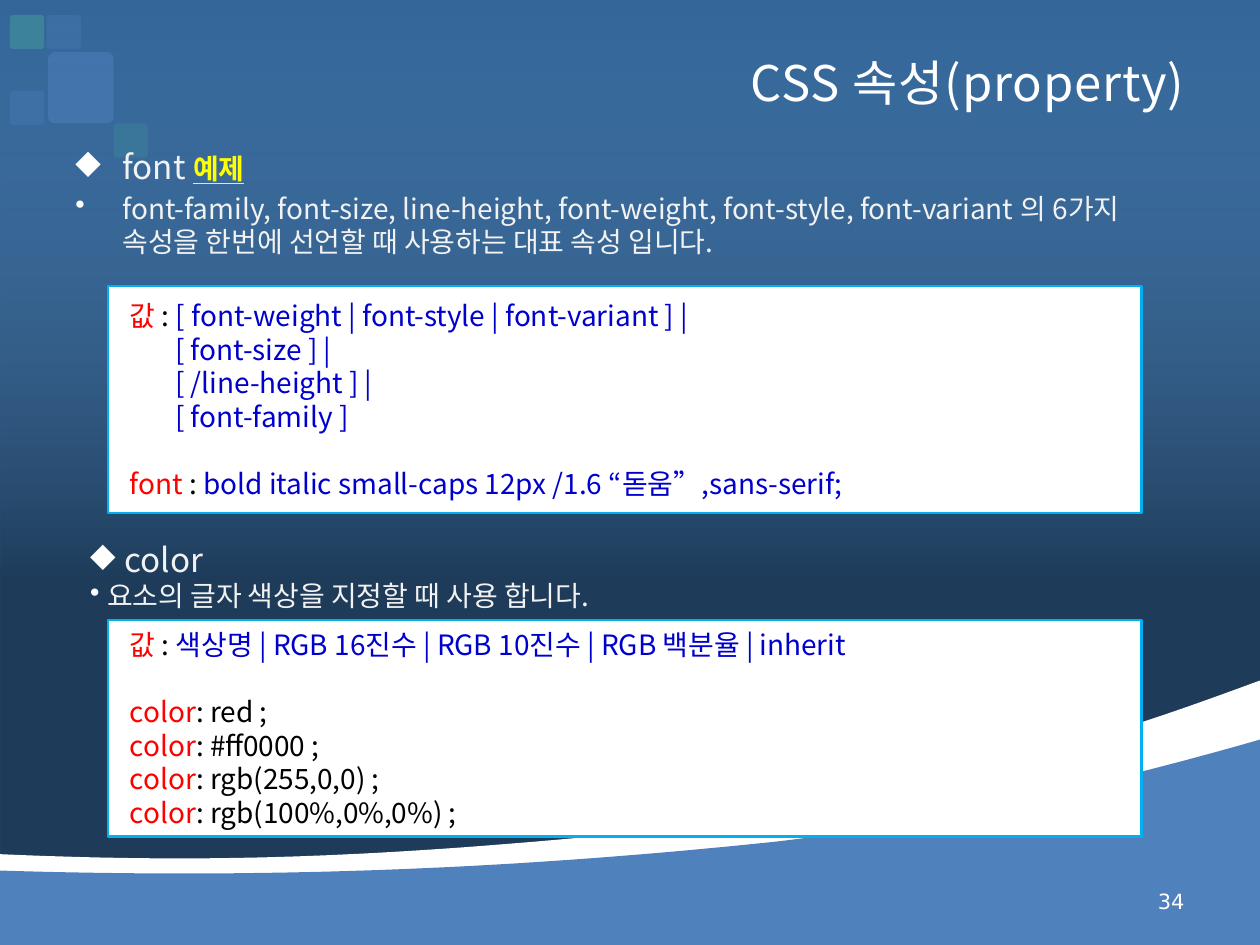
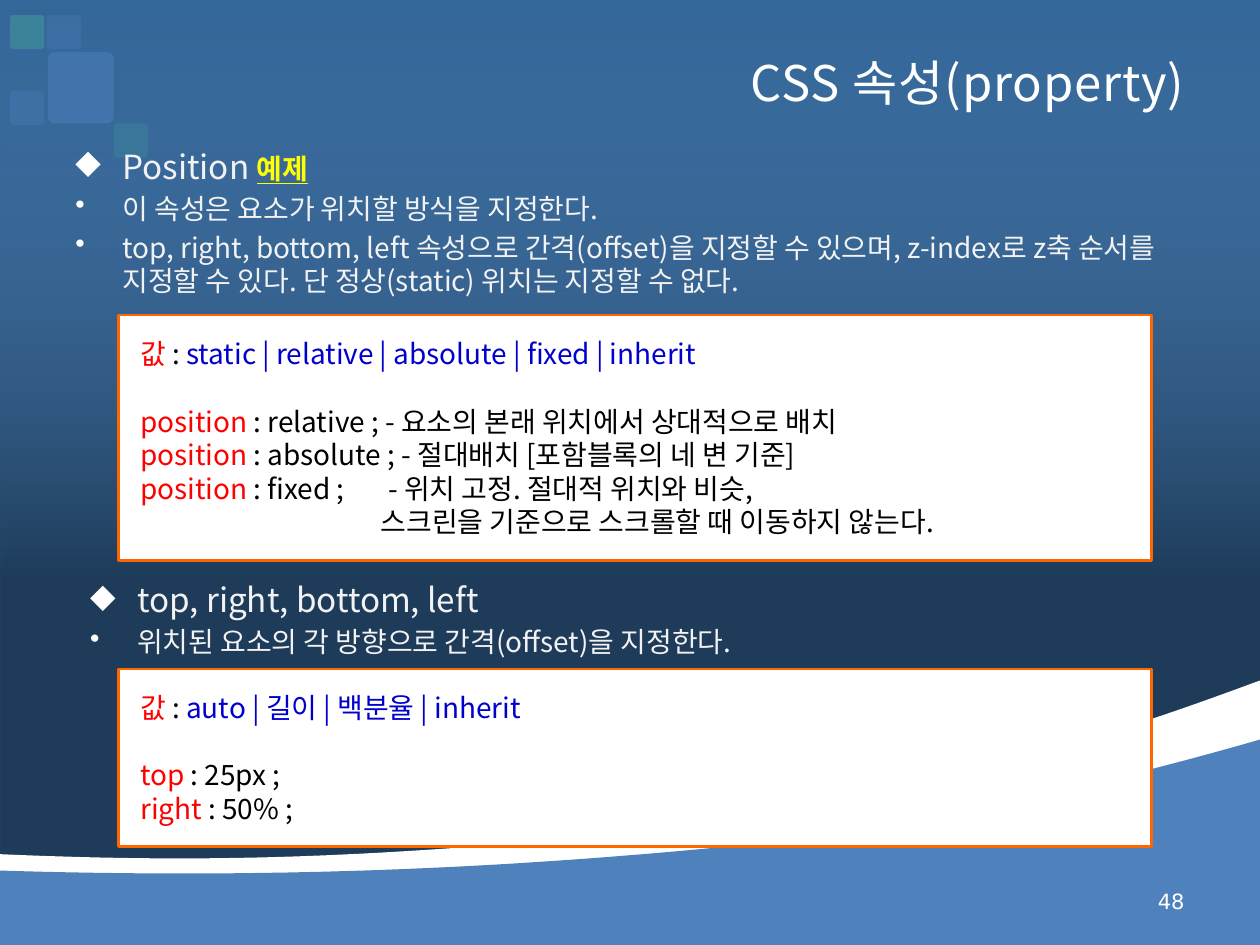
from lxml import etree
from pptx import Presentation
from pptx import util as u
from pptx.dml.color import RGBColor
from pptx.enum import shapes, text
from pptx.oxml import ns

FONT = "Noto Sans CJK KR"
WHITE, PALE, BLACK = "FFFFFF", "F2F2F2", "000000"
RED, NAVY, GOLD = "FF0000", "0000CC", "FFFF00"
SKY, ORANGE = "00B0F0", "FF6600"
BLUE, TEAL = "4F81BD", "3F949A"
WIDE, HIGH = 25.4, 19.05
BODY, HEAD = 16, 19
PITCH = 19.2

TILES = [
    (0.94, 0.3, 0.69, 0.69, BLUE, 30),
    (0.2, 1.83, 0.69, 0.69, BLUE, 30),
    (0.2, 0.3, 0.69, 0.69, TEAL, 60),
    (2.29, 2.49, 0.69, 0.69, TEAL, 30),
    (0.97, 1.05, 1.32, 1.44, BLUE, 50),
]
WAVES = [
    (WHITE, [(0, 17.22), (4.09, 17.4), (7.44, 17.32), (13.23, 16.74),
             (19.02, 16.15), (24.08, 14.2), (25.4, 13.72)]),
    (BLUE, [(0, 17.55), (6.25, 17.75), (11.3, 17.42), (15.62, 16.97),
            (19.91, 16.48), (24.36, 15.21), (25.4, 14.91)]),
]


def rgb(code):
    return RGBColor.from_string(code)


def node(parent, tag, **attrs):
    return etree.SubElement(parent, ns.qn(tag), attrs)


def fade(shape, *alphas):
    colors = shape._element.spPr.iter(ns.qn("a:srgbClr"))
    for color, alpha in zip(colors, alphas):
        node(color, "a:alpha", val=str(alpha * 1000))


def paint(shape, fill, edge=None):
    shape.shadow.inherit = False
    shape.fill.solid()
    shape.fill.fore_color.rgb = rgb(fill)
    if edge:
        shape.line.color.rgb = rgb(edge)
        shape.line.width = u.Pt(1.5)
    else:
        shape.line.fill.background()


def block(slide, kind, left, top, width, height):
    return slide.shapes.add_shape(
        kind, u.Cm(left), u.Cm(top), u.Cm(width), u.Cm(height))


def shade(slide):
    veil = block(slide, shapes.MSO_SHAPE.RECTANGLE, 0, 0, WIDE, HIGH)
    veil.shadow.inherit = False
    veil.line.fill.background()
    veil.fill.gradient()
    veil.fill.gradient_angle = 270
    for stop, place, color in zip(
            veil.fill.gradient_stops, (0, 0.61), ("8DB3E2", BLACK)):
        stop.position = place
        stop.color.rgb = rgb(color)
    fade(veil, 0, 40)


def curve(points, steps=40):
    for start in range(0, len(points) - 1, 3):
        a, b, c, d = points[start:start + 4]
        for step in range(1, steps + 1):
            t = step / steps
            s = 1 - t
            yield tuple(
                u.Cm(s**3 * a[i] + 3 * s * s * t * b[i]
                     + 3 * s * t * t * c[i] + t**3 * d[i])
                for i in (0, 1))


def wave(slide, color, points):
    x, y = points[0]
    pen = slide.shapes.build_freeform(u.Cm(x), u.Cm(y))
    base = [(u.Cm(WIDE), u.Cm(HIGH)), (0, u.Cm(HIGH))]
    pen.add_line_segments(list(curve(points)) + base, close=True)
    paint(pen.convert_to_shape(), color)


def tile(slide, left, top, width, height, color, alpha):
    shape = block(slide, shapes.MSO_SHAPE.ROUNDED_RECTANGLE,
                  left, top, width, height)
    shape.adjustments[0] = 0.1
    paint(shape, color)
    fade(shape, alpha)


def field(slide, left, top, width, height, anchor=text.MSO_ANCHOR.TOP):
    box = slide.shapes.add_textbox(
        u.Cm(left), u.Cm(top), u.Cm(width), u.Cm(height))
    frame = box.text_frame
    frame.word_wrap = True
    frame.vertical_anchor = anchor
    return frame


def style(run, size, color, face=FONT):
    run.font.size = u.Pt(size)
    run.font.color.rgb = rgb(color)
    run.font.name = face
    for tag in ("a:ea", "a:cs"):
        node(run.font._element, tag, typeface=face)


def write(para, words, size, color):
    run = para.add_run()
    run.text = words
    style(run, size, color)
    return run


def rows(frame, items):
    for index, item in enumerate(items):
        yield (frame.add_paragraph() if index else frame.paragraphs[0]), item


def bullet(para, mark, hang):
    props = para._p.get_or_add_pPr()
    props.set("marL", str(u.Cm(hang)))
    props.set("indent", str(-u.Cm(hang)))
    node(node(props, "a:buClr"), "a:srgbClr", val=WHITE)
    node(props, "a:buChar", char=mark)


def title(slide, words):
    frame = field(slide, 1.27, 0.84, 23.14, 1.63, text.MSO_ANCHOR.MIDDLE)
    frame.margin_right = u.Cm(0.53)
    para = frame.paragraphs[0]
    para.text = words
    para.alignment = text.PP_ALIGN.RIGHT
    para.line_spacing = u.Pt(33.6)
    style(para.runs[0], 28, WHITE)
    para.runs[0].font._element.set("spc", "50")


def page(slide, number):
    frame = field(slide, 18.21, 17.65, 5.92, 1.02, text.MSO_ANCHOR.MIDDLE)
    para = frame.paragraphs[0]
    para.text = str(number)
    para.alignment = text.PP_ALIGN.RIGHT
    style(para.runs[0], 12, WHITE, "DejaVu Sans")


def topic(slide, left, top, head, notes, link=None,
          hangs=(0.95, 0.95), gap=3):
    frame = field(slide, left, top, 23.14, 3.2)
    for para, words in rows(frame, [head, *notes]):
        first = words is head
        bullet(para, "◆" if first else "•", hangs[0 if first else 1])
        para.line_spacing = u.Pt(35 if first else PITCH)
        if not first:
            para.space_before = u.Pt(gap)
        write(para, words, HEAD if first else BODY, PALE)
    if link:
        run = write(frame.paragraphs[0], link, BODY, GOLD)
        run.font.bold = run.font.underline = True


def panel(slide, left, top, height, edge, lines):
    box = block(slide, shapes.MSO_SHAPE.RECTANGLE, left, top, 20.83, height)
    paint(box, WHITE, edge)
    frame = box.text_frame
    frame.word_wrap = True
    frame.margin_left = u.Cm(0.44)
    frame.vertical_anchor = text.MSO_ANCHOR.MIDDLE
    for para, (parts, indent, gap) in rows(frame, lines):
        para.alignment = text.PP_ALIGN.LEFT
        para.line_spacing = u.Pt(PITCH)
        if gap:
            para.space_before = u.Pt(PITCH)
        props = para._p.get_or_add_pPr()
        props.set("marL", str(u.Cm(indent)))
        if any("\t" in words for words, color in parts):
            tabs = node(props, "a:tabLst")
            node(tabs, "a:tab", pos=str(u.Cm(5)), algn="l")
        for words, color in parts:
            write(para, words, BODY, color)


def more(words, indent, color):
    return [(words, color)], indent, False


def value(words):
    return [("값 ", RED), (": ", BLACK), (words, NAVY)], 0, False


def rule(name, words, gap=False):
    return [(name, RED), (words, BLACK)], 0, gap


def base(deck, number):
    slide = deck.slides.add_slide(deck.slide_layouts[6])
    shade(slide)
    for color, points in WAVES:
        wave(slide, color, points)
    for spot in TILES:
        tile(slide, *spot)
    title(slide, "CSS 속성(property)")
    page(slide, number)
    return slide


def fonts(deck):
    slide = base(deck, 34)
    topic(slide, 1.27, 2.39, "font ", [
        "font-family, font-size, line-height, font-weight, font-style, "
        "font-variant 의 6가지 속성을 한번에 선언할 때 사용하는 대표 속성 입니다.",
    ], "예제")
    sample = [("font ", RED), (": ", BLACK),
              ("bold italic small-caps 12px /1.6 “돋움”,sans-serif;", NAVY)]
    parts = ["[ font-size ] |", "[ /line-height ] |", "[ font-family ]"]
    panel(slide, 2.18, 5.77, 4.57, SKY, [
        value("[ font-weight | font-style | font-variant ] |"),
        *[more(part, 0.91, NAVY) for part in parts],
        (sample, 0, True),
    ])
    topic(slide, 1.57, 10.31, "color",
          ["요소의 글자 색상을 지정할 때 사용 합니다."],
          hangs=(0.69, 0.34), gap=0)
    panel(slide, 2.18, 12.5, 4.37, SKY, [
        value("색상명 | RGB 16진수 | RGB 10진수 | RGB 백분율 | inherit"),
        rule("color", ": red ;", True),
        rule("color", ": #ff0000 ;"),
        rule("color", ": rgb(255,0,0) ;"),
        rule("color", ": rgb(100%,0%,0%) ;"),
    ])


def places(deck):
    slide = base(deck, 48)
    topic(slide, 1.27, 2.39, "Position ", [
        "이 속성은 요소가 위치할 방식을 지정한다.",
        "top, right, bottom, left 속성으로 간격(offset)을 지정할 수 있으며, "
        "z-index로 z축 순서를 지정할 수 있다. "
        "단 정상(static) 위치는 지정할 수 없다.",
    ], "예제")
    panel(slide, 2.39, 6.35, 4.95, ORANGE, [
        value("static | relative | absolute | fixed | inherit"),
        rule("position ", ": relative ; - 요소의 본래 위치에서 상대적으로 배치", True),
        rule("position ", ": absolute ; - 절대배치 [포함블록의 네 변 기준]"),
        rule("position ", ": fixed ;\t- 위치 고정. 절대적 위치와 비슷,"),
        more("스크린을 기준으로 스크롤할 때 이동하지 않는다.", 4.85, BLACK),
    ])
    topic(slide, 1.57, 11.13, "top, right, bottom, left",
          ["위치된 요소의 각 방향으로 간격(offset)을 지정한다."])
    panel(slide, 2.39, 13.49, 3.58, ORANGE, [
        value("auto | 길이 | 백분율 | inherit"),
        rule("top ", ": 25px ;", True),
        rule("right ", ": 50% ;"),
    ])


def main():
    deck = Presentation()
    deck.slide_width, deck.slide_height = u.Cm(WIDE), u.Cm(HIGH)
    back = deck.slide_master.background.fill
    back.solid()
    back.fore_color.rgb = rgb("336699")
    fonts(deck)
    places(deck)
    deck.save("out.pptx")


if __name__ == "__main__":
    main()
